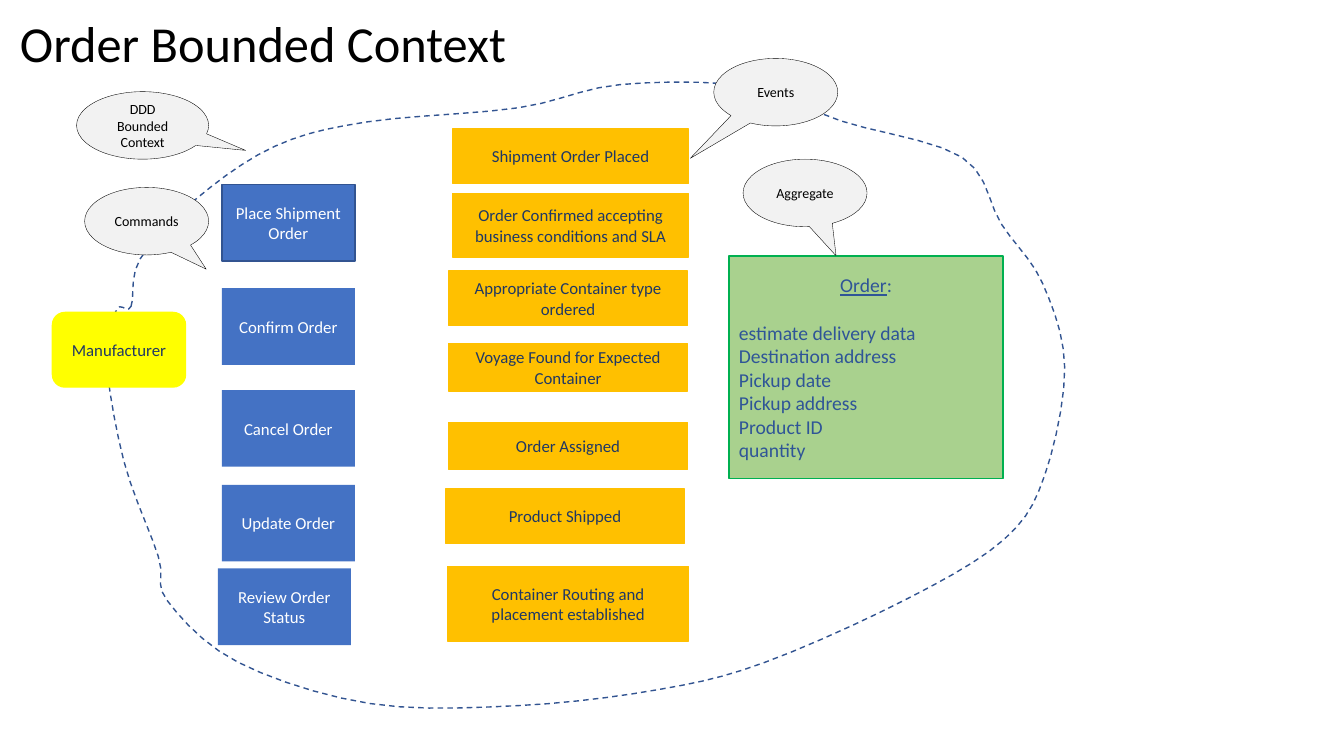
from pptx import Presentation
from pptx.dml.color import RGBColor
from pptx.enum.dml import MSO_LINE
from pptx.enum.shapes import MSO_SHAPE as Shape
from pptx.enum.text import MSO_ANCHOR as Anchor, PP_ALIGN as Align
from pptx.util import Inches, Pt

FONT = "Calibri"
BLUE, AMBER, NAVY, OUTLINE = "4472C4", "FFC000", "203864", "325491"

TITLE = "Order Bounded Context"
# text, left, top
COMMANDS = [
    ("Place Shipment Order", 2.2, 1.83),
    ("Confirm Order", 2.2, 2.86),
    ("Cancel Order", 2.2, 3.87),
    ("Update Order", 2.2, 4.81),
    ("Review Order Status", 2.16, 5.64),
]
COMMAND_SIZE = (1.32, 0.76)
# text, (left, top, width, height)
EVENTS = [
    ("Shipment Order Placed", (4.49, 1.28, 2.34, 0.54)),
    ("Order Confirmed accepting business conditions and SLA", (4.49, 1.92, 2.34, 0.63)),
    ("Appropriate Container type ordered", (4.45, 2.69, 2.37, 0.54)),
    ("Voyage Found for Expected Container", (4.45, 3.41, 2.37, 0.47)),
    ("Order Assigned", (4.45, 4.19, 2.37, 0.47)),
    ("Product Shipped", (4.42, 4.85, 2.37, 0.54)),
    ("Container Routing and placement established", (4.44, 5.62, 2.39, 0.74)),
]
# text, (left, top, width, height), pointer tip relative to the centre
CALLOUTS = [
    ("Aggregate", (7.37, 1.58, 1.23, 0.67), (0.25, 0.93)),
    ("Events", (7.08, 0.58, 1.23, 0.67), (-0.69, 0.98)),
    ("DDD Bounded Context", (0.76, 0.91, 1.31, 0.67), (0.78, 0.37)),
    ("Commands", (0.84, 1.86, 1.23, 0.67), (0.48, 0.71)),
]
ORDER_FIELDS = [
    "estimate delivery data", "Destination address", "Pickup date",
    "Pickup address", "Product ID", "quantity",
]
# Points that the dashed boundary passes through, clockwise
BOUNDARY = [
    (1.3, 3.04), (1.39, 2.57), (1.95, 1.97), (2.73, 1.45), (3.64, 1.21),
    (5.14, 1.07), (6.15, 0.84), (7.43, 0.86), (8.34, 1.2), (9.54, 1.56),
    (9.93, 2.22), (10.34, 2.81), (10.56, 3.65), (10.36, 4.72), (9.96, 5.35),
    (9, 5.94), (7.59, 6.57), (6.54, 6.84), (5.15, 7), (3.67, 6.98),
    (2.36, 6.57), (1.66, 5.96), (1.57, 5.52), (1.23, 4.58), (1.05, 3.52),
    (1.16, 3.07),
]
CURVE_STEPS = 5


def color(value):
    return RGBColor.from_string(value)


def style_runs(para, size, text_color):
    for span in para.runs:
        span.font.name = FONT
        span.font.size = Pt(size)
        span.font.color.rgb = color(text_color)


def set_line(shape, line_color, width=1):
    if line_color:
        shape.line.color.rgb = color(line_color)
        shape.line.width = Pt(width)
    else:
        shape.line.fill.background()


def add_box(page, kind, place, text, fill, line, text_color, size=12, line_width=1):
    box = page.shapes.add_shape(kind, *map(Inches, place))
    box.shadow.inherit = False
    box.fill.solid()
    box.fill.fore_color.rgb = color(fill)
    set_line(box, line, line_width)
    frame = box.text_frame
    frame.word_wrap = True
    frame.vertical_anchor = Anchor.MIDDLE
    frame.text = text
    for para in frame.paragraphs:
        para.alignment = Align.CENTER
        style_runs(para, size, text_color)
    return box


def add_title(page):
    box = page.shapes.add_textbox(*map(Inches, (0.1, 0.24, 11.5, 0.43)))
    frame = box.text_frame
    frame.word_wrap = True
    frame.vertical_anchor = Anchor.MIDDLE
    frame.text = TITLE
    para = frame.paragraphs[0]
    para.line_spacing = 0.9
    style_runs(para, 36, "000000")


def add_aggregate(page):
    """Green card: underlined heading above the left-aligned order fields."""
    box = add_box(page, Shape.RECTANGLE, (7.23, 2.54, 2.72, 2.21),
                  "\n".join(["Order"] + ORDER_FIELDS), "A9D18E", "00B050", "2F5597", 14)
    heading, *fields = box.text_frame.paragraphs
    heading.add_run().text = ":"
    style_runs(heading, 14, "2F5597")
    heading.runs[0].font.underline = True
    for para in fields:
        para.alignment = Align.LEFT
    fields[0].space_before = Pt(17)


def smooth_loop(points):
    """Closed Catmull-Rom curve through the points."""
    count = len(points)
    curve = []
    for index in range(count):
        corners = [points[(index + shift) % count] for shift in (-1, 0, 1, 2)]
        for step in range(CURVE_STEPS):
            t = step / CURVE_STEPS
            curve.append(tuple(
                b + t * (c - a) / 2
                + t ** 2 * (2 * a - 5 * b + 4 * c - d) / 2
                + t ** 3 * (3 * b - a - 3 * c + d) / 2
                for a, b, c, d in zip(*corners)))
    return curve


def add_boundary(page):
    points = [(Inches(x), Inches(y)) for x, y in smooth_loop(BOUNDARY)]
    builder = page.shapes.build_freeform(*points[0])
    builder.add_line_segments(points[1:], close=True)
    boundary = builder.convert_to_shape()
    boundary.shadow.inherit = False
    boundary.fill.background()
    set_line(boundary, OUTLINE)
    boundary.line.dash_style = MSO_LINE.DASH


def main():
    deck = Presentation()
    deck.slide_width, deck.slide_height = Inches(13.33), Inches(7.5)
    page = deck.slides.add_slide(deck.slide_layouts[6])

    for text, place in EVENTS:
        add_box(page, Shape.RECTANGLE, place, text, AMBER, AMBER, NAVY)
    add_aggregate(page)
    add_boundary(page)
    add_title(page)
    add_box(page, Shape.ROUNDED_RECTANGLE, (0.52, 3.1, 1.32, 0.74),
            "Manufacturer", "FFFF00", "FFFF00", NAVY)
    for index, (text, left, top) in enumerate(COMMANDS):
        add_box(page, Shape.RECTANGLE, (left, top, *COMMAND_SIZE), text,
                BLUE, OUTLINE if index == 0 else None, "FFFFFF")
    for text, place, tip in CALLOUTS:
        callout = add_box(page, Shape.OVAL_CALLOUT, place, text,
                          "F2F2F2", "000000", "000000", 10, 0.25)
        callout.adjustments[0], callout.adjustments[1] = tip

    deck.save("out.pptx")


if __name__ == "__main__":
    main()
